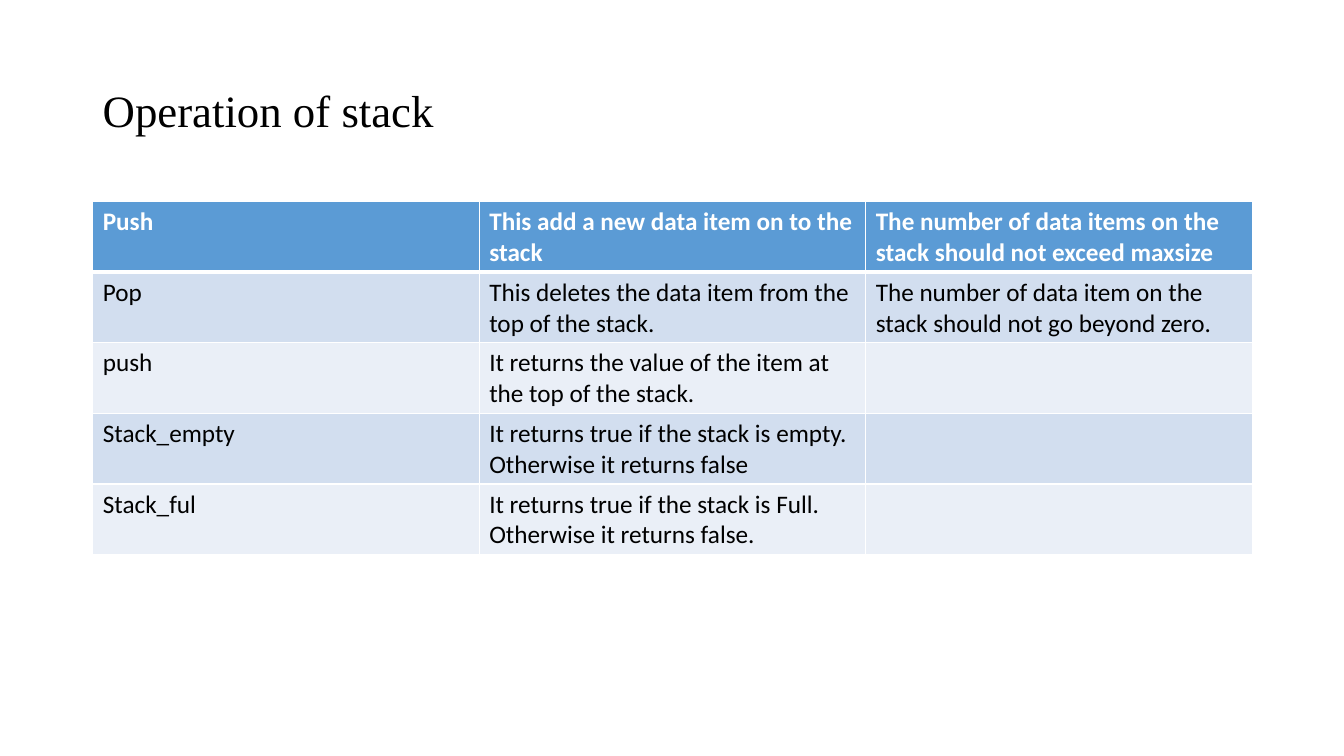
from dataclasses import dataclass

from lxml import etree
from pptx import Presentation
from pptx import util as u
from pptx.dml.color import RGBColor
from pptx.enum import text
from pptx.oxml import ns


@dataclass(frozen=True)
class Theme:
    title_font: str = "Times New Roman"
    body_font: str = "Calibri"
    title_size: int = 32
    body_size: int = 18
    ink: str = "000000"
    paper: str = "FFFFFF"
    header: str = "5B9BD5"
    bands: tuple = ("D2DEEF", "EAEFF7")
    thin: int = 1
    thick: int = 3


THEME = Theme()

# Layout in inches
SLIDE_WIDTH, SLIDE_HEIGHT = 13.33, 7.5
MARGIN = 0.92
CONTENT_WIDTH = 11.5
TITLE_TOP, TITLE_HEIGHT = 0.4, 1.45
TABLE_TOP, ROW_HEIGHT = 2, 0.7

OPERATIONS = [
    ("Push", "This add a new data item on to the stack",
     "The number of data items on the stack should not exceed maxsize"),
    ("Pop", "This deletes the data item from the top of the stack.",
     "The number of data item on the stack should not go beyond zero."),
    ("push", "It returns the value of the item at the top of the stack.", ""),
    ("Stack_empty",
     "It returns true if the stack is empty. Otherwise it returns false", ""),
    ("Stack_ful",
     "It returns true if the stack is Full. Otherwise it returns false.", ""),
]


def style_text(para, font, size, color, bold=False):
    for span in para.runs:
        span.font.name = font
        span.font.size = u.Pt(size)
        span.font.bold = bold
        span.font.color.rgb = RGBColor.from_string(color)


def add_title(page, wording):
    box = page.shapes.add_textbox(u.Inches(MARGIN), u.Inches(TITLE_TOP),
                                  u.Inches(CONTENT_WIDTH), u.Inches(TITLE_HEIGHT))
    frame = box.text_frame
    frame.word_wrap = True
    frame.vertical_anchor = text.MSO_ANCHOR.MIDDLE
    frame.text = wording
    para = frame.paragraphs[0]
    para.line_spacing = 0.9
    style_text(para, THEME.title_font, THEME.title_size, THEME.ink)


def set_borders(cell, top, bottom):
    """Draw the four cell edges; widths are in points."""
    properties = cell._tc.get_or_add_tcPr()
    widths = {"L": THEME.thin, "R": THEME.thin, "T": top, "B": bottom}
    for position, (side, width) in enumerate(widths.items()):
        line = etree.Element(ns.qn(f"a:ln{side}"), w=str(u.Pt(width)))
        fill = etree.SubElement(line, ns.qn("a:solidFill"))
        etree.SubElement(fill, ns.qn("a:srgbClr"), val=THEME.paper)
        properties.insert(position, line)


def fill_cell(cell, wording, row):
    is_header = row == 0
    background = THEME.header if is_header else THEME.bands[(row - 1) % 2]
    cell.fill.solid()
    cell.fill.fore_color.rgb = RGBColor.from_string(background)
    # The thick rule separates the header from the first band
    set_borders(cell, top=THEME.thick if row == 1 else THEME.thin,
                bottom=THEME.thick if is_header else THEME.thin)
    if wording:
        cell.text = wording
        style_text(cell.text_frame.paragraphs[0], THEME.body_font, THEME.body_size,
                   THEME.paper if is_header else THEME.ink, is_header)


def add_operations_table(page, operations):
    table = page.shapes.add_table(
        len(operations), len(operations[0]), u.Inches(MARGIN), u.Inches(TABLE_TOP),
        u.Inches(CONTENT_WIDTH), u.Inches(ROW_HEIGHT * len(operations))).table
    for row, wordings in enumerate(operations):
        for column, wording in enumerate(wordings):
            fill_cell(table.cell(row, column), wording, row)


def main():
    deck = Presentation()
    deck.slide_width = u.Inches(SLIDE_WIDTH)
    deck.slide_height = u.Inches(SLIDE_HEIGHT)
    page = deck.slides.add_slide(deck.slide_layouts[6])

    # Heading and table of operations
    add_title(page, "Operation of stack")
    add_operations_table(page, OPERATIONS)

    deck.save("out.pptx")


if __name__ == "__main__":
    main()
